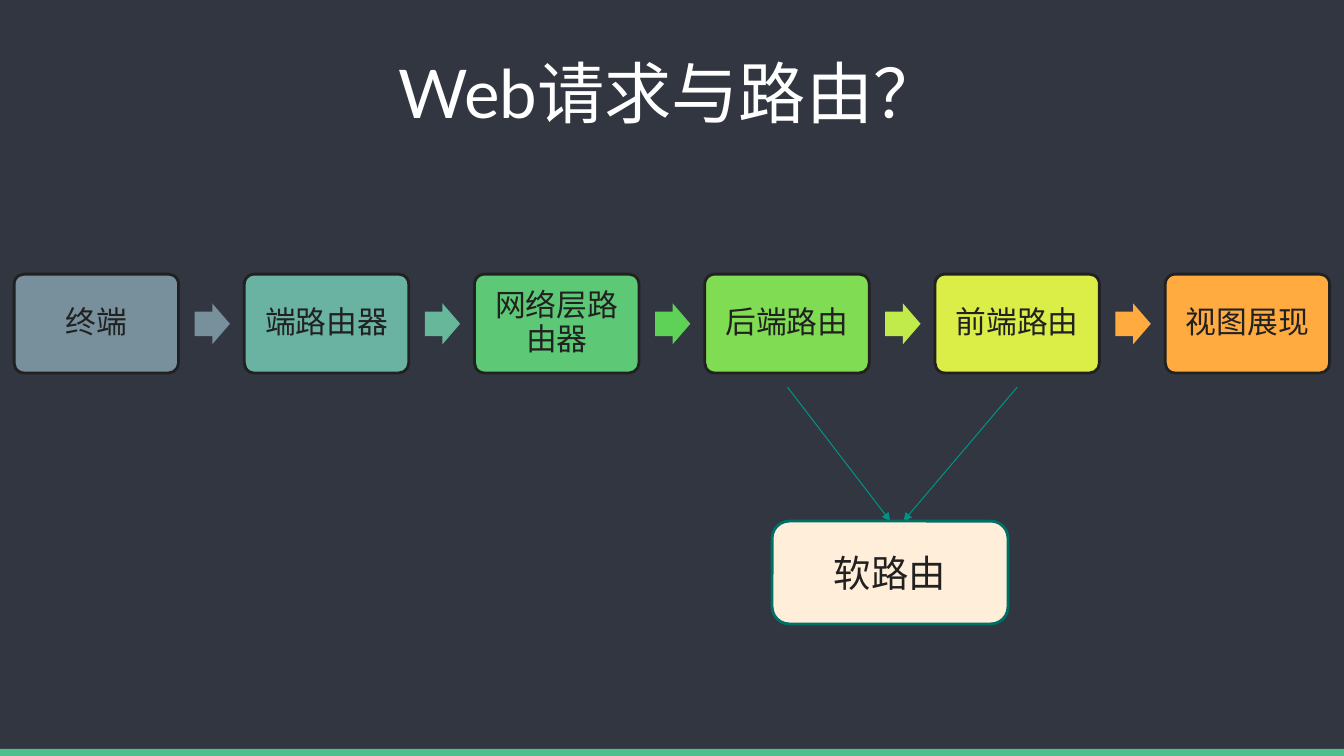
"""Builds a slide that follows a web request through its routers."""
from dataclasses import dataclass

from lxml.etree import SubElement as Sub
from pptx import Presentation
from pptx.dml.color import RGBColor
from pptx.enum.shapes import MSO_CONNECTOR as Link, MSO_SHAPE as Kind
from pptx.enum.text import MSO_ANCHOR as Anchor, PP_ALIGN as Align
from pptx.oxml.ns import qn
from pptx.shapes.autoshape import Shape
from pptx.slide import Slide
from pptx.util import Inches, Pt

WIDE, HIGH = Inches(13.33), Inches(7.5)
NIGHT = RGBColor(0x31, 0x36, 0x40)
LEAF = RGBColor(0x4F, 0xC0, 0x8D)
WHITE = RGBColor(0xFF, 0xFF, 0xFF)
INK = RGBColor(0x21, 0x21, 0x21)
SLATE = RGBColor(0x78, 0x90, 0x9C)
TEAL = RGBColor(0x6A, 0xB3, 0xA3)
MINT = RGBColor(0x67, 0xB8, 0x9B)
GREEN = RGBColor(0x5D, 0xC8, 0x75)
GRASS = RGBColor(0x5E, 0xD2, 0x57)
LIME = RGBColor(0x80, 0xDC, 0x52)
PEAR = RGBColor(0xC1, 0xEA, 0x4B)
LEMON = RGBColor(0xDB, 0xEE, 0x48)
AMBER = RGBColor(0xFF, 0xAB, 0x40)
CREAM = RGBColor(0xFF, 0xEE, 0xD9)
PINE = RGBColor(0x00, 0x6F, 0x65)
JADE = RGBColor(0x00, 0x93, 0x85)

LEFT, STEP = 1.05, 17.13


@dataclass(frozen=True)
class Area:
    """A place in percent of the slide's width and height."""
    x: float
    y: float
    w: float
    h: float

    def emu(self) -> dict[str, int]:
        """Gives the place as shape attributes."""
        return {"left": across(self.x), "top": down(self.y),
                "width": across(self.w), "height": down(self.h)}


@dataclass(frozen=True)
class Stage:
    """A stop on the route, with the colour of the arrow after it."""
    name: str
    fill: RGBColor
    arrow: RGBColor | None = None


@dataclass(frozen=True)
class Ray:
    """A thin arrow from one point to another, in percent."""
    x1: float
    x2: float
    y1: float = 51.2
    y2: float = 68.93


STAGES = (
    Stage("终端", SLATE, SLATE),
    Stage("端路由器", TEAL, MINT),
    Stage("网络层路由器", GREEN, GRASS),
    Stage("后端路由", LIME, PEAR),
    Stage("前端路由", LEMON, AMBER),
    Stage("视图展现", AMBER),
)
RAYS = (Ray(58.59, 66.24), Ray(75.69, 67.22))


def across(share: float) -> int:
    """Turns a percentage of the width into a length."""
    return round(WIDE * share / 100)


def down(share: float) -> int:
    """Turns a percentage of the height into a length."""
    return round(HIGH * share / 100)


def apply(thing: object, looks: dict) -> None:
    """Sets each format value on an object."""
    for key, value in looks.items():
        setattr(thing, key, value)


def write(shape: Shape, text: str, size: float, color: RGBColor, pad: float,
          face: str = "Arial", anchor: Anchor = Anchor.MIDDLE,
          lead: float = 1.0) -> None:
    """Puts one centred paragraph in a shape."""
    frame = shape.text_frame
    sides = ("left", "right", "top", "bottom")
    apply(frame, {"text": text, "word_wrap": True, "vertical_anchor": anchor,
                  **{f"margin_{side}": Inches(pad) for side in sides}})
    para = frame.paragraphs[0]
    apply(para, {"alignment": Align.CENTER, "line_spacing": lead})
    font = para.runs[0].font
    apply(font, {"size": Pt(size), "name": face})
    font.color.rgb = color


def block(slide: Slide, kind: Kind, area: Area, fill: RGBColor,
          edge: RGBColor | None = None,
          bends: tuple[float, ...] = ()) -> Shape:
    """Draws a filled preset shape."""
    shape = slide.shapes.add_shape(kind, **area.emu())
    shape.shadow.inherit = False
    shape.fill.solid()
    shape.fill.fore_color.rgb = fill
    if edge is None:
        shape.line.fill.background()
    else:
        shape.line.color.rgb = edge
        shape.line.width = Pt(2)
    for spot, bend in enumerate(bends):
        shape.adjustments[spot] = bend
    return shape


def link(slide: Slide, ray: Ray) -> None:
    """Draws a thin line that ends in an arrowhead."""
    wire = slide.shapes.add_connector(
        Link.STRAIGHT, across(ray.x1), down(ray.y1),
        across(ray.x2), down(ray.y2))
    wire.line.color.rgb = JADE
    wire.line.width = Pt(0.75)
    Sub(wire.line._get_or_add_ln(), qn("a:tailEnd"), type="triangle")
    Sub(wire._element.spPr, qn("a:effectLst"))


def main() -> None:
    """Builds and saves the slide."""
    deck = Presentation()
    apply(deck, {"slide_width": WIDE, "slide_height": HIGH})
    slide = deck.slides.add_slide(deck.slide_layouts[5])
    back = slide.background.fill
    back.solid()
    back.fore_color.rgb = NIGHT
    block(slide, Kind.RECTANGLE, Area(0, 99.07, 100, 0.93), LEAF)
    title = slide.shapes.title
    apply(title, Area(3.23, 6.67, 93.15, 12.53).emu())
    write(title, "Web请求与路由？", 48, WHITE, 0.13, "Lato", Anchor.BOTTOM)
    for spot, stage in enumerate(STAGES):
        x = LEFT + spot * STEP
        box = block(slide, Kind.ROUNDED_RECTANGLE,
                    Area(x, 36.27, 12.23, 13.07), stage.fill, INK, (0.1,))
        write(box, stage.name, 22, INK, 0.09, lead=0.9)
        if stage.arrow is not None:
            block(slide, Kind.RIGHT_ARROW, Area(x + 13.43, 40.13, 2.63, 5.4),
                  stage.arrow, bends=(0.6, 0.5))
    for ray in RAYS:
        link(slide, ray)
    soft = block(slide, Kind.ROUNDED_RECTANGLE,
                 Area(57.45, 68.93, 17.55, 13.6), CREAM, PINE)
    write(soft, "软路由", 26.7, INK, 0.1)
    deck.save("out.pptx")


if __name__ == "__main__":
    main()
